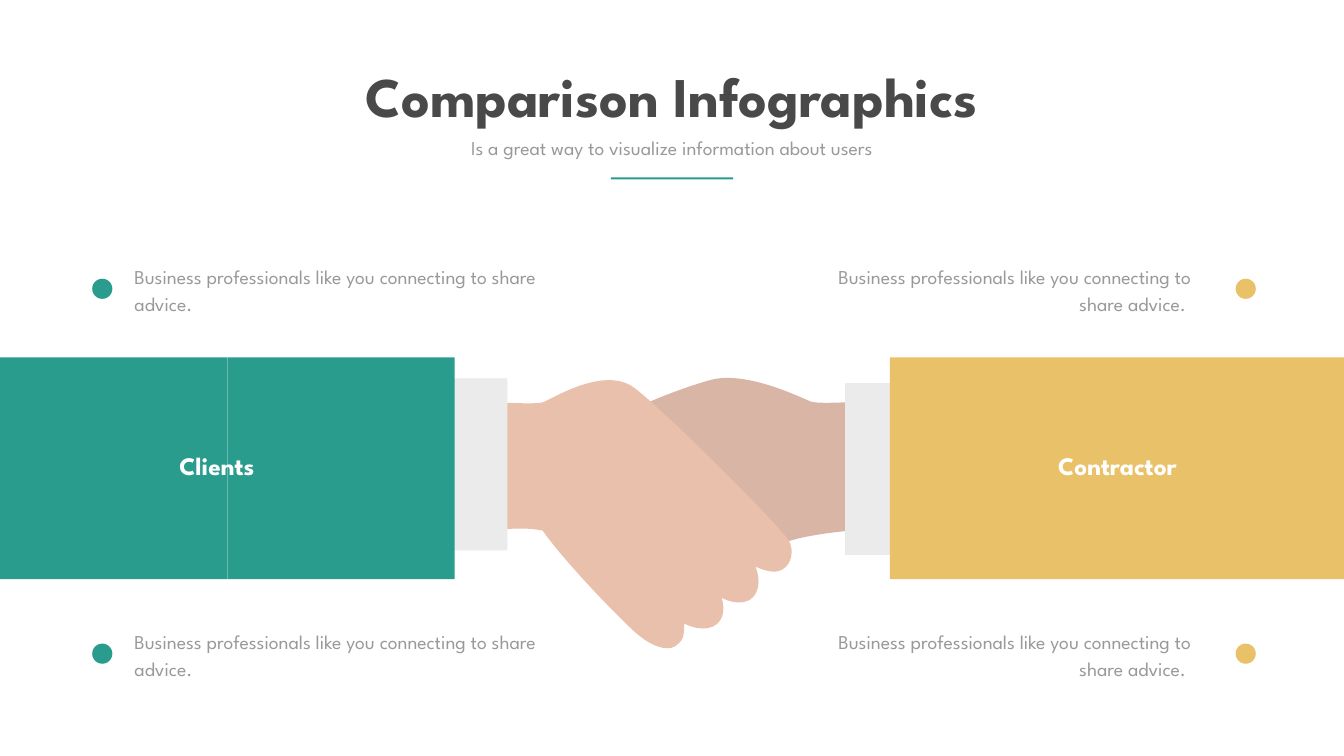
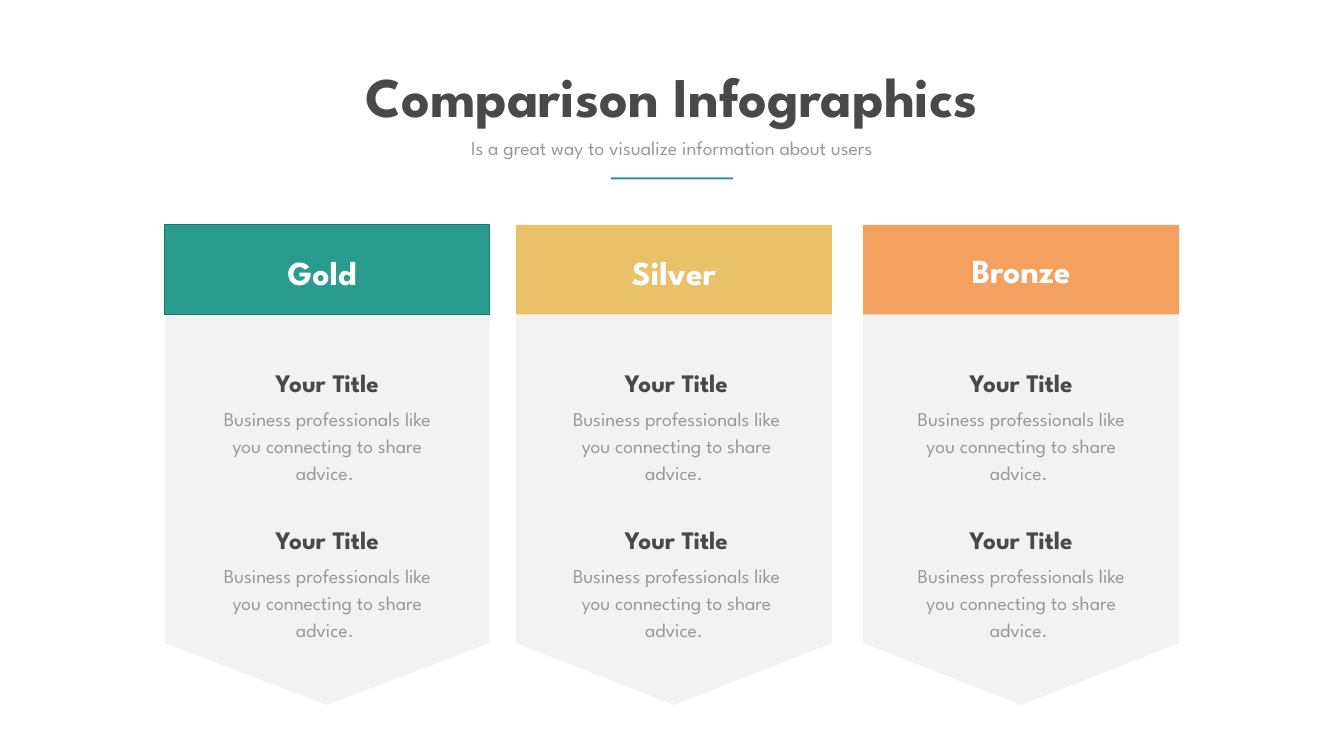
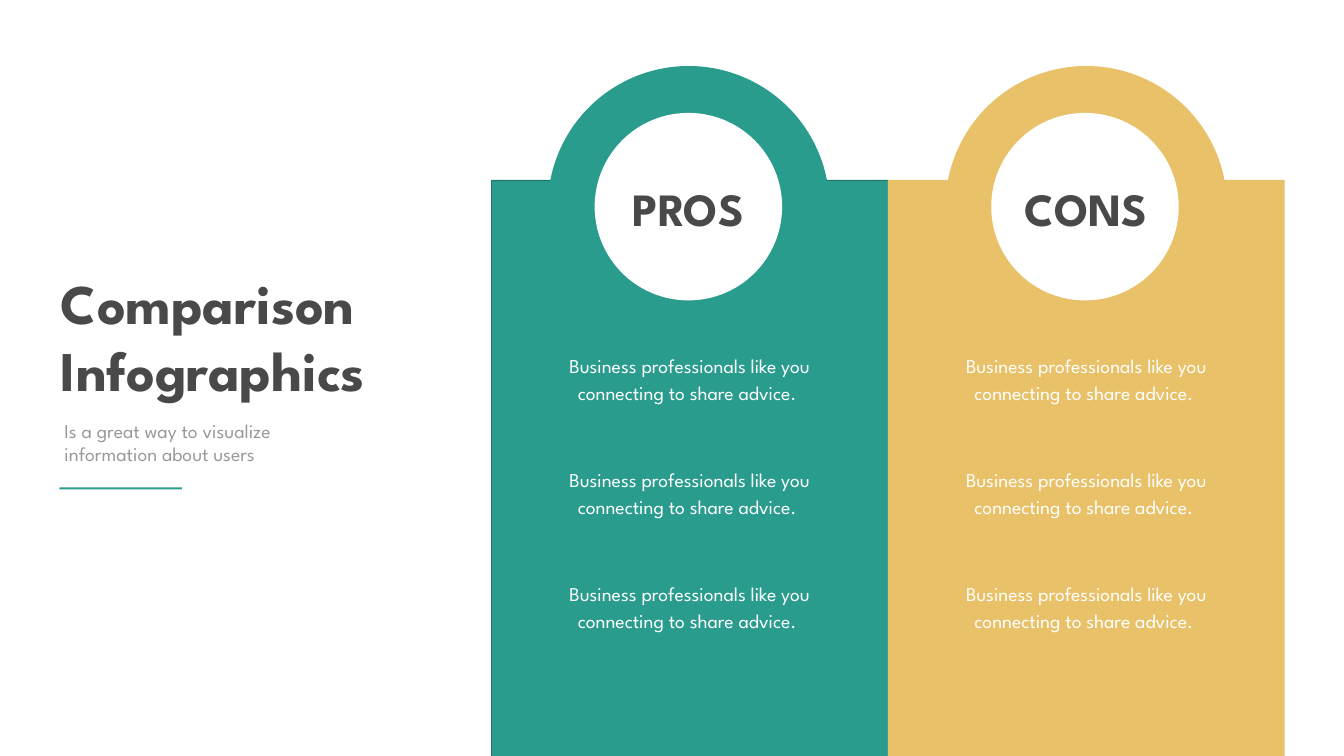
from lxml import etree
from pptx import Presentation
from pptx.dml.color import RGBColor
from pptx.enum.shapes import MSO_SHAPE
from pptx.enum.text import MSO_ANCHOR, MSO_AUTO_SIZE, PP_ALIGN
from pptx.oxml.ns import qn
from pptx.util import Pt

RECTANGLE, OVAL, PENTAGON = MSO_SHAPE.RECTANGLE, MSO_SHAPE.OVAL, MSO_SHAPE.PENTAGON
LEFT, CENTER, RIGHT = PP_ALIGN.LEFT, PP_ALIGN.CENTER, PP_ALIGN.RIGHT
TOP, NO_AUTOFIT = MSO_ANCHOR.TOP, MSO_AUTO_SIZE.NONE

PX = 9144
FONT = "League Spartan"
COLORS = {
    "teal": "2A9C8E", "teal_edge": "1F7369", "yellow": "E9C169", "orange": "F4A15F",
    "dark": "494949", "gray": "999999", "panel": "F2F2F2", "cuff": "EBEBEB",
    "front_hand": "E8C0AC", "back_hand": "D9B5A6", "white": "FFFFFF",
}
SUBTITLE = "Is a great way to visualize information about users"
ADVICE = "Business professionals like you connecting to share advice."
LEADING = 38.6

BACK_HAND = [
    (802, 97),
    (802, 97), (725, 102), (710, 97), (695, 92), (582, 34), (510, 54),
    (387, 88), (224, 172), (215, 197), (206, 223), (222, 435), (254, 431),
    (266, 429), (277, 427), (289, 423), (289, 423), (272, 461), (295, 484),
    (317, 507), (356, 485), (356, 485), (356, 485), (349, 521), (366, 537),
    (382, 554), (424, 540), (431, 536), (432, 552), (382, 476), (406, 493),
    (430, 509), (450, 518), (476, 494), (503, 470), (584, 449), (655, 378),
    (692, 360), (806, 351), (806, 351),
]
FRONT_HAND = [
    (86, 98),
    (86, 98), (163, 103), (178, 98), (193, 93), (298, 25), (358, 69),
    (417, 113), (655, 350), (666, 374), (680, 403), (663, 438), (631, 434),
    (615, 432), (599, 424), (599, 424), (599, 424), (616, 462), (594, 485),
    (571, 508), (532, 486), (532, 486), (532, 486), (544, 520), (523, 538),
    (500, 557), (464, 541), (458, 537), (456, 553), (462, 567), (440, 582),
    (421, 594), (388, 579), (361, 555), (334, 531), (227, 423), (177, 353),
    (141, 344), (82, 352), (82, 352),
]


def px(*lengths):
    return [round(length * PX) for length in lengths]


def rgb(name):
    return RGBColor.from_string(COLORS[name])


def paint(shape, color, edge=None):
    shape.shadow.inherit = False
    shape.fill.solid()
    shape.fill.fore_color.rgb = rgb(color)
    if edge:
        shape.line.color.rgb = rgb(edge)
        shape.line.width = Pt(1)
    else:
        shape.line.fill.background()


def add_block(page, kind, left, top, width, height, color, edge=None):
    shape = page.shapes.add_shape(kind, *px(left, top, width, height))
    paint(shape, color, edge)
    return shape


def write(box, text, size, color, align=LEFT, bold=False, leading=None):
    frame = box.text_frame
    frame.text = text
    frame.word_wrap = True
    frame.auto_size = NO_AUTOFIT
    frame.vertical_anchor = TOP
    for para in frame.paragraphs:
        para.alignment = align
        para.space_before = Pt(0)
        if leading:
            para.line_spacing = Pt(leading)
        for span in para.runs:
            span.font.name = FONT
            span.font.size = Pt(size)
            span.font.bold = bold
            span.font.color.rgb = rgb(color)


def add_text(page, left, top, width, height, text, size, color, **style):
    box = page.shapes.add_textbox(*px(left, top, width, height))
    write(box, text, size, color, **style)


def add_advice(page, left, top, width, height, color="gray", align=CENTER):
    text = ADVICE if align == LEFT else ADVICE + " "
    add_text(page, left, top, width, height, text, 28, color,
             align=align, leading=LEADING)


def add_page(deck, title, title_box, subtitle_box, rule_at, align):
    page = deck.slides.add_slide(deck.slide_layouts[0])
    heading, subtitle = page.placeholders
    for holder, place in ((heading, title_box), (subtitle, subtitle_box)):
        holder.left, holder.top, holder.width, holder.height = px(*place)
    write(heading, title, 80, "dark", align=align, bold=True)
    write(subtitle, SUBTITLE, 28, "gray", align=align)
    add_block(page, RECTANGLE, *rule_at, 243, 4, "teal")
    return page


def add_centered_page(deck):
    return add_page(deck, "Comparison Infographics", (621, 117, 1423, 145),
                    (855, 265, 956, 57), (1212, 352), CENTER)


def curve_outline(shape):
    lines = list(shape.element.iter(qn("a:lnTo")))
    for first in range(0, len(lines), 3):
        curve = etree.Element(qn("a:cubicBezTo"))
        lines[first].addprevious(curve)
        for line in lines[first:first + 3]:
            curve.append(line[0])
            line.getparent().remove(line)


def add_hand(page, left, top, nodes, color):
    start, *outline = [px(left + x, top + y) for x, y in nodes]
    builder = page.shapes.build_freeform(*start)
    builder.add_line_segments(outline, close=False)
    hand = builder.convert_to_shape()
    curve_outline(hand)
    paint(hand, color)


def add_handshake(page, left, top):
    add_hand(page, left, top, BACK_HAND, "back_hand")
    add_hand(page, left, top, FRONT_HAND, "front_hand")
    add_block(page, RECTANGLE, left + 777, top + 60, 121, 341, "cuff")
    add_block(page, RECTANGLE, left - 13, top + 51, 120, 341, "cuff")


def add_party(page, left, label, label_left, color, advice_box, align, dot_left):
    for half in range(2):
        add_block(page, RECTANGLE, left + 451 * half, 709, 451, 440, color)
    add_text(page, label_left, 889, 713, 71, label, 36, "white", align=CENTER, bold=True)
    advice_left, advice_width = advice_box
    for top in (513, 1237):
        add_advice(page, advice_left, top, advice_width, 118, align=align)
        add_block(page, OVAL, dot_left, top + 40, 40, 40, color)


def add_handshake_page(deck):
    page = add_centered_page(deck)
    group = page.shapes.add_group_shape()
    add_handshake(group, 900, 700)
    add_party(group, 0, "Clients", 74, "teal", (257, 821), LEFT, 183)
    add_party(group, 1766, "Contractor", 1861, "yellow", (1572, 801), RIGHT, 2452)


def add_tier(page, left, width, name, name_box, text_left, color, edge=None):
    top, length, tip = 446, 953, 123
    banner = add_block(page, PENTAGON, left + (width - length) / 2,
                       top + (length - width) / 2, length, width, "panel")
    banner.rotation = 90
    banner.adjustments[0] = tip / width
    add_block(page, RECTANGLE, left, top, width, 178, color, edge)
    add_text(page, *name_box, 497, 91, name, 48, "white", align=CENTER, bold=True)
    group = page.shapes.add_group_shape()
    for item_top in (724, 1036):
        add_advice(group, text_left, item_top + 71, 463, 172)
        add_text(group, text_left, item_top, 463, 71, "Your Title", 36, "dark",
                 align=CENTER, bold=True)


def add_tiers_page(deck):
    page = add_centered_page(deck)
    add_tier(page, 327, 644, "Gold", (391, 494), 418, "teal", "teal_edge")
    add_tier(page, 1024, 627, "Silver", (1089, 494), 1111, "yellow")
    add_tier(page, 1713, 627, "Bronze", (1778, 490), 1795, "orange")


def add_side(page, left, ring_left, hole_left, label, label_box, color, edge=None):
    add_block(page, RECTANGLE, left, 357, 787, 1143, color, edge)
    add_block(page, OVAL, ring_left, 131, 559, 559, color)
    add_block(page, OVAL, hole_left, 224, 372, 372, "white")
    label_left, label_width = label_box
    add_text(page, label_left, 353, label_width, 121, label, 66, "dark",
             align=CENTER, bold=True)
    for row in range(3):
        add_advice(page, left + 83.5, 690 + 226.5 * row, 620, 118, "white")


def add_pros_cons_page(deck):
    page = add_page(deck, "Comparison\nInfographics", (111, 528, 713, 279),
                    (118, 826, 523, 104), (118, 967), LEFT)
    add_side(page, 975, 1087, 1180, "PROS", (1230, 272), "teal", "teal_edge")
    add_side(page, 1762, 1876, 1967, "CONS", (1994, 322), "yellow")


def main():
    deck = Presentation()
    deck.slide_width, deck.slide_height = px(2667, 1500)
    add_handshake_page(deck)
    add_tiers_page(deck)
    add_pros_cons_page(deck)
    deck.save("out.pptx")


if __name__ == "__main__":
    main()
